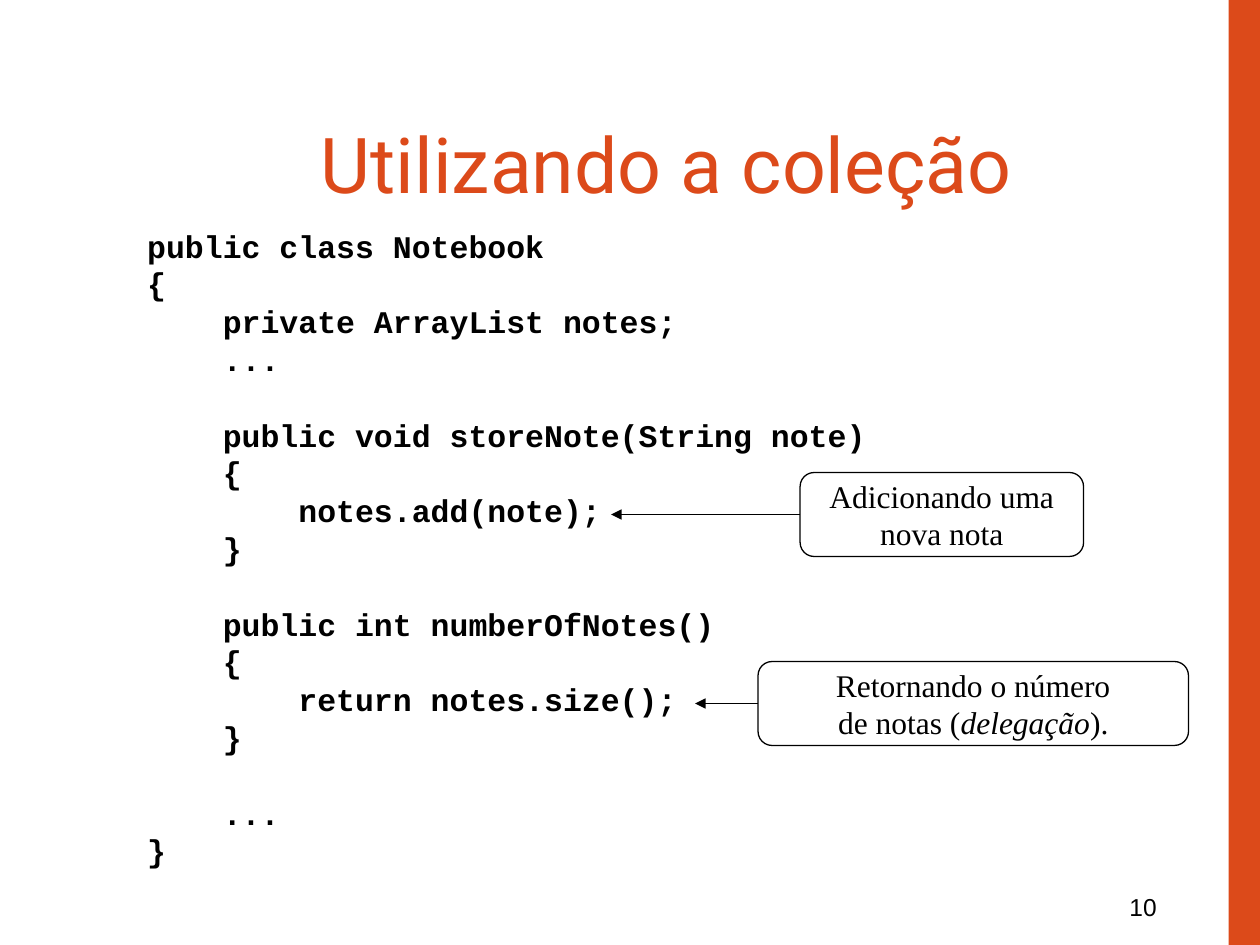
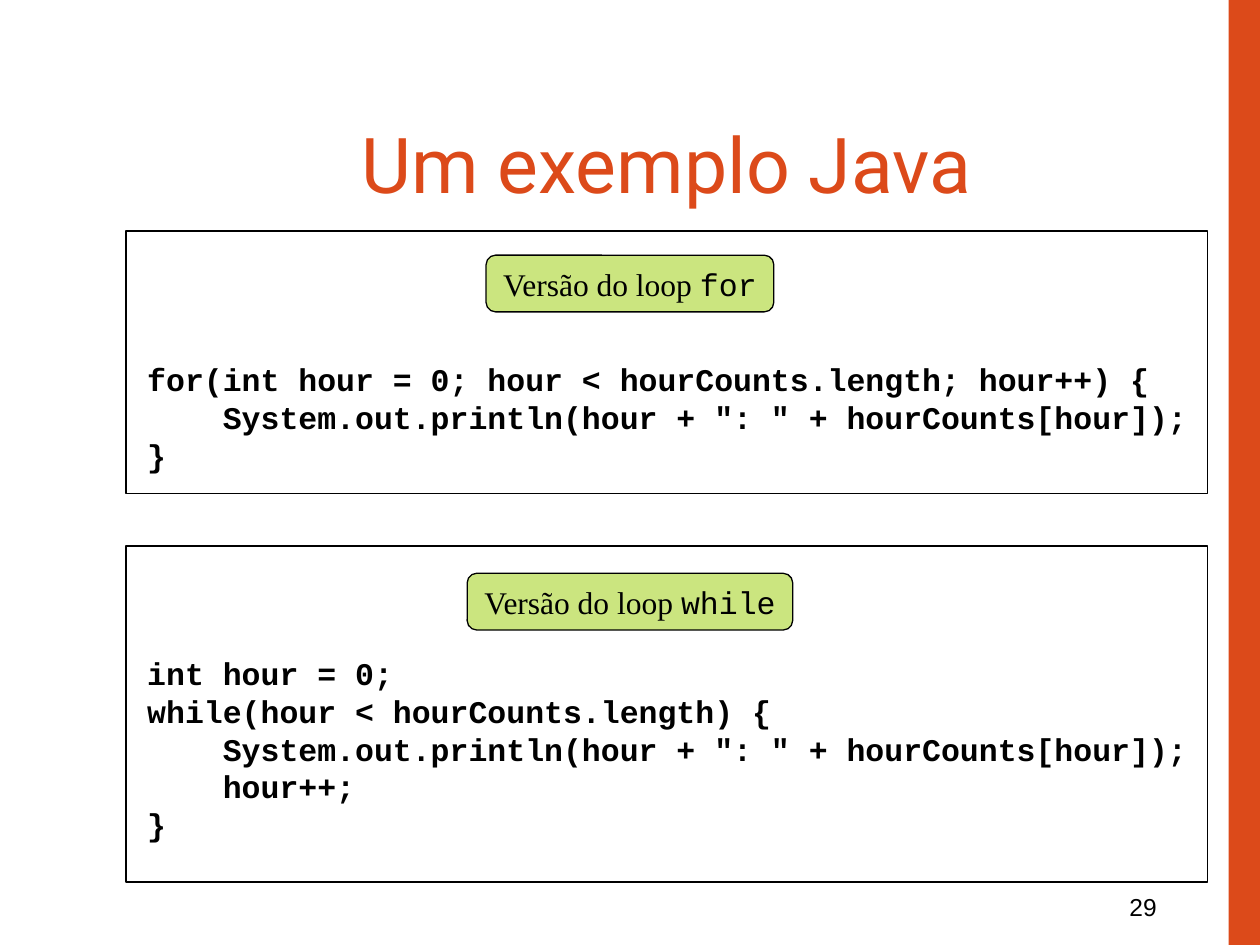
from lxml import etree
from pptx import Presentation
from pptx.dml.color import RGBColor
from pptx.enum.shapes import MSO_CONNECTOR, MSO_SHAPE
from pptx.enum.text import MSO_ANCHOR, PP_ALIGN
from pptx.oxml.ns import qn
from pptx.util import Inches, Pt

RECT, ROUNDED = MSO_SHAPE.RECTANGLE, MSO_SHAPE.ROUNDED_RECTANGLE
STRAIGHT = MSO_CONNECTOR.STRAIGHT
LEFT, CENTER, RIGHT = PP_ALIGN.LEFT, PP_ALIGN.CENTER, PP_ALIGN.RIGHT
TOP, MIDDLE = MSO_ANCHOR.TOP, MSO_ANCHOR.MIDDLE

COLORS = {"accent": "DC4A1A", "ink": "000000", "badge": "99CC00"}
SANS, HEADING, MONO, SERIF = "Arial", "Roboto", "Courier New", "Times New Roman"

# The slide is a grid of 120 columns by 90 rows of square cells.
CELL = Inches(10) / 120
CODE_LEFT = 12.84
CHAR_COLUMNS, LINE_ROWS, PADDING = 1.8, 3.6, 1.2
LINE_PITCH = Pt(21.6)
THIN = Pt(0.75)

NOTEBOOK_CODE = """public class Notebook
{
    private ArrayList notes;
    ...

    public void storeNote(String note)
    {
        notes.add(note);
    }

    public int numberOfNotes()
    {
        return notes.size();
    }

    ...
}"""

FOR_CODE = """for(int hour = 0; hour < hourCounts.length; hour++) {
    System.out.println(hour + ": " + hourCounts[hour]);
}"""

WHILE_CODE = """int hour = 0;
while(hour < hourCounts.length) {
    System.out.println(hour + ": " + hourCounts[hour]);
    hour++;
}"""

SLIDES = [
    {
        "title": "Utilizando a coleção",
        "number": "10",
        "code": [(NOTEBOOK_CODE, 21)],
        # callout lines, left column, top row, columns, arrow tip column
        "callouts": [
            (["Adicionando uma", "nova nota"], 76.2, 45, 27, 58.2),
            (["Retornando o número",
              [("de notas (", {}), ("delegação", {"italic": True}), (").", {})]],
             72.2, 63, 41, 66.2),
        ],
        "loops": [],
    },
    {
        "title": "Um exemplo Java",
        "number": "29",
        "code": [(FOR_CODE, 33.7), (WHILE_CODE, 61.7)],
        "callouts": [],
        # keyword, badge top row, badge columns, frame top row, frame rows
        "loops": [("for", 24.3, 27.4, 22, 25), ("while", 54.6, 31, 52, 32)],
    },
]


def place(slide, box, kind=None, fill=None, alpha=None, outlined=False):
    """Add a text box, or a preset shape of the given kind, at grid cells."""
    cells = [round(value * CELL) for value in box]
    if kind is None:
        return slide.shapes.add_textbox(*cells)
    shape = slide.shapes.add_shape(kind, *cells)
    shape.shadow.inherit = False
    if fill:
        shape.fill.solid()
        shape.fill.fore_color.rgb = RGBColor.from_string(COLORS[fill])
        if alpha:
            color = shape.fill._xPr.find(".//" + qn("a:srgbClr"))
            etree.SubElement(color, qn("a:alpha"), val=str(alpha * 1000))
    else:
        shape.fill.background()
    if outlined:
        shape.line.color.rgb = RGBColor.from_string(COLORS["ink"])
        shape.line.width = THIN
    else:
        shape.line.fill.background()
    return shape


def write(shape, lines, font=SERIF, size=18, color="ink", bold=False,
          align=CENTER, anchor=MIDDLE, wrap=False, pitch=LINE_PITCH):
    """Write lines of text or of (text, format) runs; an empty line opens a gap."""
    frame = shape.text_frame
    frame.word_wrap = wrap
    frame.vertical_anchor = anchor
    paragraph, gap = None, 0
    for line in lines:
        if not line:
            gap += 1
            continue
        paragraph = frame.add_paragraph() if paragraph else frame.paragraphs[0]
        paragraph.alignment = align
        if pitch:
            paragraph.line_spacing = pitch
        if gap:
            paragraph.space_before = gap * LINE_PITCH
            gap = 0
        for text, style in [(line, {})] if isinstance(line, str) else line:
            run = paragraph.add_run()
            run.text = text
            run.font.name = style.get("font", font)
            run.font.size = Pt(size)
            run.font.bold = bold
            run.font.italic = style.get("italic", False)
            run.font.color.rgb = RGBColor.from_string(COLORS[color])


deck = Presentation()
deck.slide_width, deck.slide_height = Inches(10), Inches(7.5)

for content in SLIDES:
    slide = deck.slides.add_slide(deck.slide_layouts[6])

    write(place(slide, (105, 84.4, 6.35, 4)), [content["number"]], font=SANS,
          size=14, align=RIGHT, anchor=TOP, wrap=True, pitch=None)
    place(slide, (117, 0, 3, 90), RECT, fill="accent")
    write(place(slide, (13, 8, 101, 15)), [content["title"]], font=HEADING,
          size=44, color="accent", wrap=True, pitch=None)

    for code, top in content["code"]:
        lines = code.splitlines()
        columns = max(map(len, lines)) * CHAR_COLUMNS + 2 * PADDING
        rows = len(lines) * LINE_ROWS + PADDING
        write(place(slide, (CODE_LEFT, top, columns, rows)), lines, font=MONO,
              bold=True, align=LEFT, anchor=TOP)

    for lines, left, top, columns, tip in content["callouts"]:
        write(place(slide, (left, top, columns, 8), ROUNDED, outlined=True), lines)
        middle = round((top + 4) * CELL)
        arrow = slide.shapes.add_connector(
            STRAIGHT, round(left * CELL), middle, round(tip * CELL), middle)
        arrow.line.color.rgb = RGBColor.from_string(COLORS["ink"])
        arrow.line.width = THIN
        etree.SubElement(arrow.line._get_or_add_ln(), qn("a:tailEnd"), type="triangle")
        etree.SubElement(arrow._element.spPr, qn("a:effectLst"))

    for keyword, top, columns, frame_top, frame_rows in content["loops"]:
        badge = place(slide, (60 - columns / 2, top, columns, 5.4), ROUNDED,
                      fill="badge", alpha=50, outlined=True)
        write(badge, [[("Versão do loop ", {}), (keyword, {"font": MONO})]])
        place(slide, (12, frame_top, 103, frame_rows), RECT, outlined=True)

deck.save("out.pptx")
